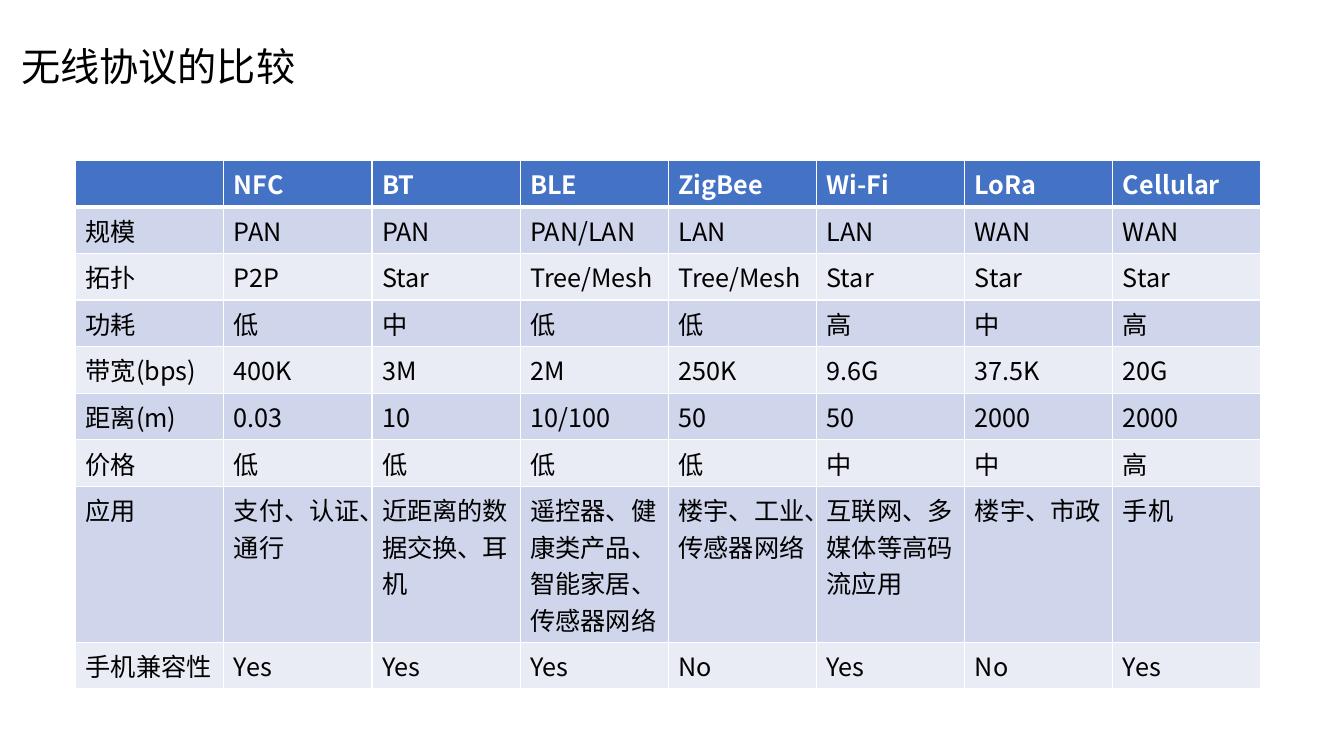
from typing import NamedTuple

from lxml import etree
from pptx import Presentation
from pptx.dml.color import RGBColor
from pptx.enum import text
from pptx.oxml import ns
from pptx import util as u

PX = 9144  # 100 px to the inch
FONT = "Noto Sans CJK SC"
BLACK = RGBColor(0x00, 0x00, 0x00)
WHITE = RGBColor(0xFF, 0xFF, 0xFF)
BLUE = RGBColor(0x44, 0x72, 0xC4)
BAND_DARK = RGBColor(0xCF, 0xD5, 0xEA)
BAND_LIGHT = RGBColor(0xE9, 0xEB, 0xF5)

TABLE_LEFT, TABLE_TOP = 75, 159
COLUMN_WIDTH, ROW_HEIGHT = 147, 41
THIN, THICK = 1, 3


class Protocol(NamedTuple):
    name: str
    scale: str
    topology: str
    power: str
    bandwidth: str
    distance: str
    price: str
    uses: str
    phone: str


class RowStyle(NamedTuple):
    fill: RGBColor
    ink: RGBColor
    bold: bool
    top: int
    bottom: int


LABELS = Protocol("", "规模", "拓扑", "功耗", "带宽(bps)", "距离(m)", "价格", "应用", "手机兼容性")
PROTOCOLS = [
    Protocol("NFC", "PAN", "P2P", "低", "400K", "0.03", "低", "支付、认证、通行", "Yes"),
    Protocol("BT", "PAN", "Star", "中", "3M", "10", "低", "近距离的数据交换、耳机", "Yes"),
    Protocol("BLE", "PAN/LAN", "Tree/Mesh", "低", "2M", "10/100", "低",
             "遥控器、健康类产品、智能家居、传感器网络", "Yes"),
    Protocol("ZigBee", "LAN", "Tree/Mesh", "低", "250K", "50", "低",
             "楼宇、工业、传感器网络", "No"),
    Protocol("Wi-Fi", "LAN", "Star", "高", "9.6G", "50", "中",
             "互联网、多媒体等高码流应用", "Yes"),
    Protocol("LoRa", "WAN", "Star", "中", "37.5K", "2000", "中", "楼宇、市政", "No"),
    Protocol("Cellular", "WAN", "Star", "高", "20G", "2000", "高", "手机", "Yes"),
]


def px(length: int) -> u.Emu:
    return u.Emu(length * PX)


def set_font(paragraph, size: int, color: RGBColor, bold: bool = False) -> None:
    """Set the font for Latin and East Asian text alike."""
    font = paragraph.font
    font.size = u.Pt(size)
    font.bold = bold
    font.color.rgb = color
    font.name = FONT
    latin = paragraph._p.pPr.find(ns.qn("a:defRPr")).find(ns.qn("a:latin"))
    east_asian = etree.Element(ns.qn("a:ea"), typeface=FONT)
    latin.addnext(east_asian)


def set_borders(cell, style: RowStyle) -> None:
    properties = cell._tc.get_or_add_tcPr()
    widths = {"L": THIN, "R": THIN, "T": style.top, "B": style.bottom}
    for side, width in widths.items():
        line = etree.SubElement(properties, ns.qn(f"a:ln{side}"), w=str(u.Pt(width)))
        fill = etree.SubElement(line, ns.qn("a:solidFill"))
        etree.SubElement(fill, ns.qn("a:srgbClr"), val=str(WHITE))


def row_style(row: int) -> RowStyle:
    if row == 0:
        return RowStyle(BLUE, WHITE, True, THIN, THICK)
    band = BAND_DARK if row % 2 else BAND_LIGHT
    return RowStyle(band, BLACK, False, THICK if row == 1 else THIN, THIN)


def fill_cell(cell, wording: str, style: RowStyle) -> None:
    set_borders(cell, style)
    cell.fill.solid()
    cell.fill.fore_color.rgb = style.fill
    cell.text = wording
    set_font(cell.text_frame.paragraphs[0], 18, style.ink, style.bold)


def add_title(slide) -> None:
    title = slide.shapes.title
    title.left, title.top, title.width, title.height = map(px, (11, 18, 1018, 100))
    frame = title.text_frame
    frame.text = "无线协议的比较"
    frame.vertical_anchor = text.MSO_ANCHOR.MIDDLE
    heading = frame.paragraphs[0]
    heading.alignment = text.PP_ALIGN.LEFT
    heading.line_spacing = 0.9
    set_font(heading, 28, BLACK)


def add_comparison(slide) -> None:
    rows = list(zip(LABELS, *PROTOCOLS))
    columns = len(rows[0])
    table = slide.shapes.add_table(
        len(rows), columns, px(TABLE_LEFT), px(TABLE_TOP),
        px(COLUMN_WIDTH * columns), px(ROW_HEIGHT * len(rows))).table
    for column in table.columns:
        column.width = px(COLUMN_WIDTH)
    for index, wordings in enumerate(rows):
        table.rows[index].height = px(ROW_HEIGHT)
        for cell, wording in zip(table.rows[index].cells, wordings):
            fill_cell(cell, wording, row_style(index))


def main() -> None:
    deck = Presentation()
    deck.slide_width, deck.slide_height = px(1333), px(750)
    slide = deck.slides.add_slide(deck.slide_layouts.get_by_name("Title Only"))
    add_title(slide)
    add_comparison(slide)
    deck.save("out.pptx")


if __name__ == "__main__":
    main()
